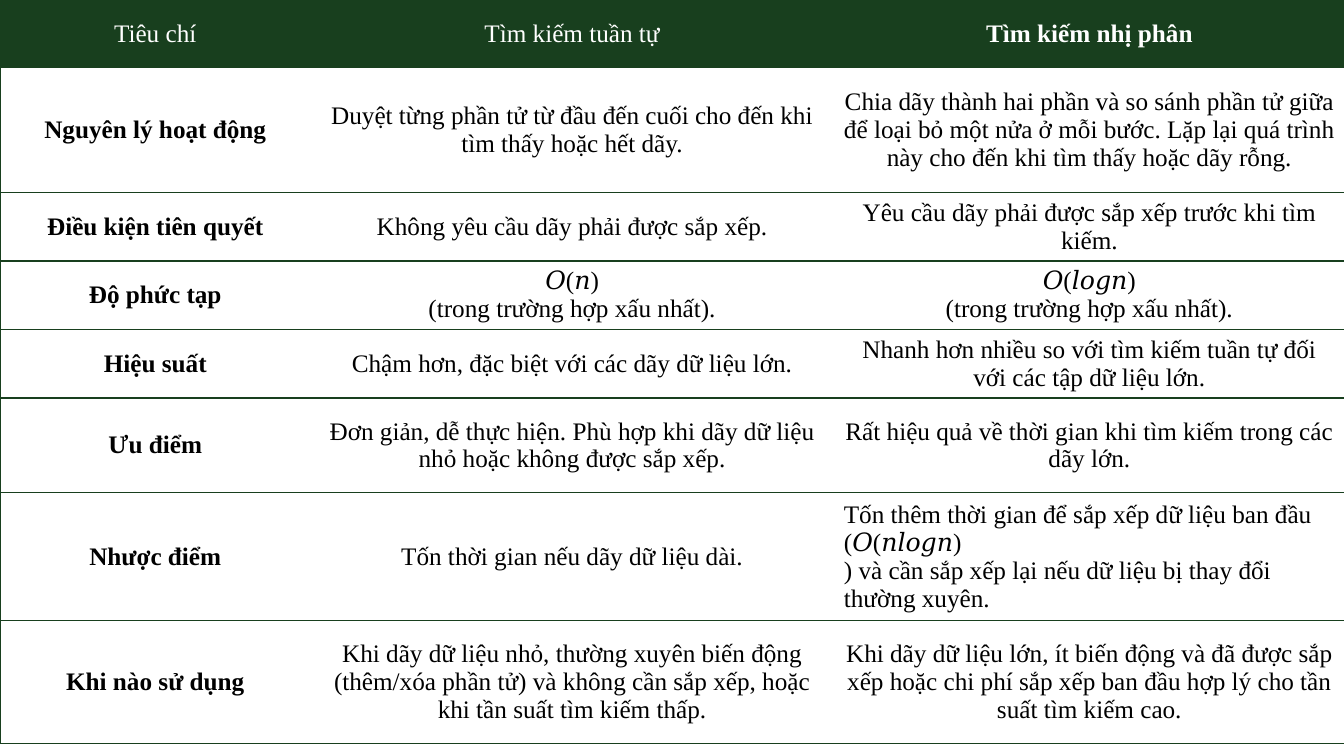
from dataclasses import dataclass

from lxml.etree import SubElement as Sub
from pptx import Presentation
from pptx.dml.color import RGBColor as Rgb
from pptx.enum.text import MSO_ANCHOR as Anchor, PP_ALIGN as Align
from pptx.oxml.ns import qn
from pptx.table import _Cell as Cell
from pptx.util import Inches, Pt

COLORS = {"green": "183F1E", "white": "FFFFFF", "black": "000000"}
FONT = "Times New Roman"
WIDTHS = (3.08, 5.19, 5.07)


@dataclass
class Row:
    height: float
    label: str
    linear: str
    binary: str
    head: bool = False
    last: Align = Align.CENTER  # alignment of the last column


ROWS = [
    Row(0.67, "Tiêu chí", "Tìm kiếm tuần tự", "Tìm kiếm nhị phân", head=True),
    Row(1.24, "Nguyên lý hoạt động",
        "Duyệt từng phần tử từ đầu đến cuối cho đến khi tìm thấy hoặc hết dãy.",
        "Chia dãy thành hai phần và so sánh phần tử giữa để loại bỏ một nửa ở mỗi bước. "
        "Lặp lại quá trình này cho đến khi tìm thấy hoặc dãy rỗng."),
    Row(0.68, "Điều kiện tiên quyết", "Không yêu cầu dãy phải được sắp xếp.",
        "Yêu cầu dãy phải được sắp xếp trước khi tìm kiếm."),
    Row(0.68, "Độ phức tạp", "𝑂(𝑛)\n(trong trường hợp xấu nhất).",
        "𝑂(𝑙𝑜𝑔𝑛)\n(trong trường hợp xấu nhất)."),
    Row(0.68, "Hiệu suất", "Chậm hơn, đặc biệt với các dãy dữ liệu lớn.",
        "Nhanh hơn nhiều so với tìm kiếm tuần tự đối với các tập dữ liệu lớn."),
    Row(0.94, "Ưu điểm",
        "Đơn giản, dễ thực hiện. Phù hợp khi dãy dữ liệu nhỏ hoặc không được sắp xếp.",
        "Rất hiệu quả về thời gian khi tìm kiếm trong các dãy lớn."),
    Row(1.27, "Nhược điểm", "Tốn thời gian nếu dãy dữ liệu dài.",
        "Tốn thêm thời gian để sắp xếp dữ liệu ban đầu (𝑂(𝑛𝑙𝑜𝑔𝑛)\n"
        ") và cần sắp xếp lại nếu dữ liệu bị thay đổi thường xuyên.",
        last=Align.LEFT),
    Row(1.22, "Khi nào sử dụng",
        "Khi dãy dữ liệu nhỏ, thường xuyên biến động (thêm/xóa phần tử) "
        "và không cần sắp xếp, hoặc khi tần suất tìm kiếm thấp.",
        "Khi dãy dữ liệu lớn, ít biến động và đã được sắp xếp "
        "hoặc chi phí sắp xếp ban đầu hợp lý cho tần suất tìm kiếm cao."),
]


def rgb(name: str) -> Rgb:
    return Rgb.from_string(COLORS[name])


def set_lines(cell: Cell, sides: str) -> None:
    """Rule the given sides of a cell and clear the others."""
    props = cell._tc.get_or_add_tcPr()
    for side in "LRTB":
        line = Sub(props, qn(f"a:ln{side}"), w=str(Pt(1)))
        if side in sides:
            fill = Sub(line, qn("a:solidFill"))
            Sub(fill, qn("a:srgbClr"), val=COLORS["green"])
        else:
            Sub(line, qn("a:noFill"))


def fill_cell(cell: Cell, text: str, row: Row, col: int) -> None:
    # Only the outer edges have upright rules
    set_lines(cell, ("L", "", "R")[col] + "TB")
    cell.fill.solid()
    cell.fill.fore_color.rgb = rgb("green" if row.head else "white")
    cell.vertical_anchor = Anchor.MIDDLE
    cell.text_frame.text = text
    for para in cell.text_frame.paragraphs:
        para.alignment = row.last if col == 2 else Align.CENTER
        font = para.font
        font.name, font.size = FONT, Pt(18)
        font.bold = col == (2 if row.head else 0)
        font.color.rgb = rgb("white" if row.head else "black")


def main() -> None:
    deck = Presentation()
    deck.slide_width, deck.slide_height = Inches(13.33), Inches(7.5)
    slide = deck.slides.add_slide(deck.slide_layouts[6])

    # Comparison table
    table = slide.shapes.add_table(
        len(ROWS), len(WIDTHS), 0, 0, Inches(13.33), Inches(7.47)).table
    table.horz_banding = False
    for col, width in zip(table.columns, WIDTHS):
        col.width = Inches(width)
    for line, row in zip(table.rows, ROWS):
        line.height = Inches(row.height)
        texts = (row.label, row.linear, row.binary)
        for col, (cell, text) in enumerate(zip(line.cells, texts)):
            fill_cell(cell, text, row, col)

    deck.save("out.pptx")


if __name__ == "__main__":
    main()
